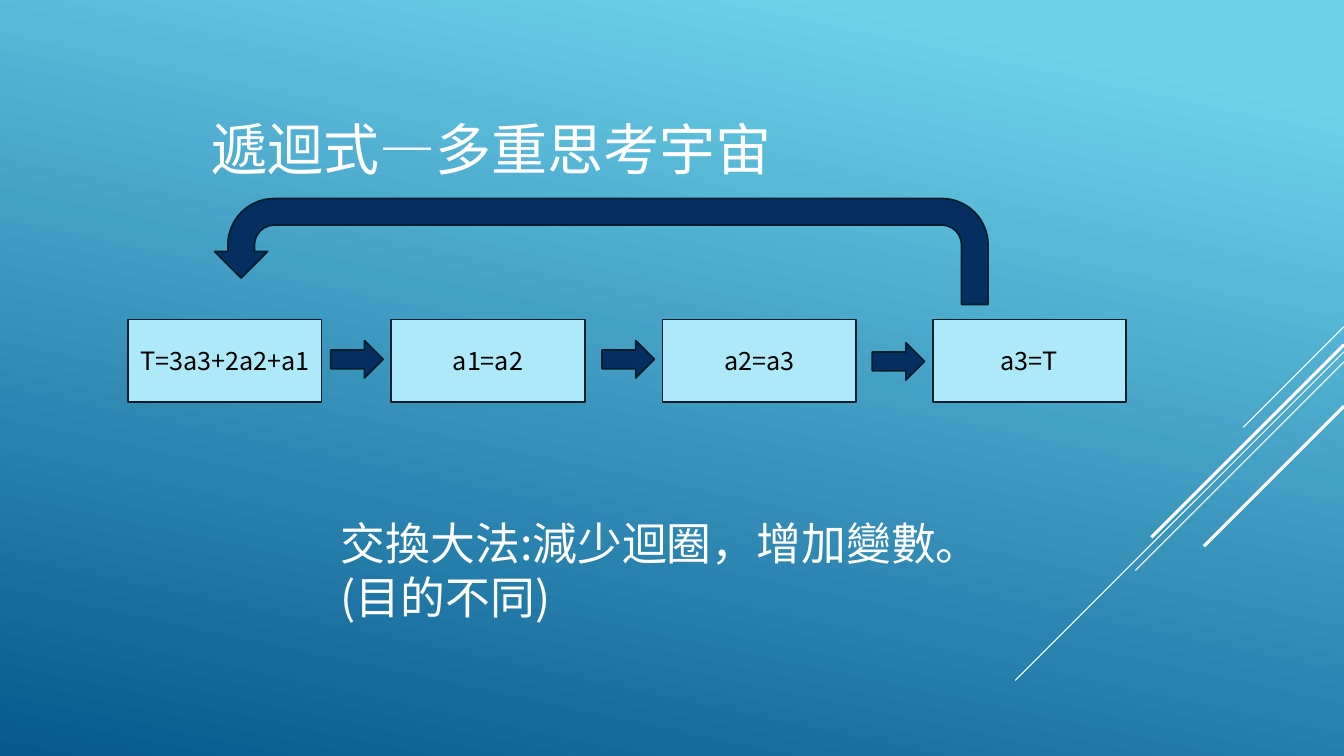
from lxml.etree import SubElement
from pptx import Presentation
from pptx.dml.color import RGBColor
from pptx.enum.shapes import MSO_CONNECTOR, MSO_SHAPE
from pptx.enum.text import MSO_ANCHOR, MSO_AUTO_SIZE, PP_ALIGN
from pptx.oxml.ns import qn
from pptx.util import Inches, Pt

FONT = "Noto Sans CJK SC"


def style_text(paragraph, size, color, align=PP_ALIGN.LEFT):
    paragraph.alignment = align
    font = paragraph.font
    font.size = Pt(size)
    font.color.rgb = RGBColor.from_string(color)
    font.name = FONT
    SubElement(paragraph._p.pPr.find(qn("a:defRPr")), qn("a:ea"), typeface=FONT)


def add_block(kind, left, top, width, height, fill):
    block = slide.shapes.add_shape(kind, Inches(left), Inches(top), Inches(width), Inches(height))
    block.shadow.inherit = False
    block.fill.solid()
    block.fill.fore_color.rgb = RGBColor.from_string(fill)
    block.line.color.rgb = RGBColor.from_string("021E2B")
    block.line.width = Pt(1.25)
    return block


deck = Presentation()
deck.slide_width, deck.slide_height = Inches(13.33), Inches(7.5)
slide = deck.slides.add_slide(deck.slide_layouts[5])

backdrop = slide.background.fill
backdrop.gradient()
backdrop.gradient_angle = 258
for stop, (position, color) in zip(backdrop.gradient_stops, [(0.1, "6ED2EB"), (1, "06588E")]):
    stop.position = position
    stop.color.rgb = RGBColor.from_string(color)

for start_y, run, weight in [(3.24, 1, 0.75), (3.49, 3.26, 0.75), (3.59, 2.07, 0.75),
                             (3.42, 1.91, 2.25), (4.03, 1.39, 2.25)]:
    streak = slide.shapes.add_connector(
        MSO_CONNECTOR.STRAIGHT, Inches(13.33), Inches(start_y),
        Inches(13.33 - run), Inches(start_y + run))
    streak.line.color.rgb = RGBColor.from_string("FFFFFF")
    streak.line.width = Pt(weight)
    SubElement(streak._element.spPr, qn("a:effectLst"))

title = slide.shapes.title
title.left, title.top, title.width, title.height = Inches(2), Inches(0.84), Inches(7.86), Inches(1.25)
title.text_frame.vertical_anchor = MSO_ANCHOR.MIDDLE
heading = title.text_frame.paragraphs[0]
heading.add_run().text = "遞迴式—多重"
heading_end = heading.add_run()
heading_end.text = "思考宇宙"
style_text(heading, 40, "FFFFFF")
heading_end.font.name = "Calibri"

steps = [("T=3a3+2a2+a1", 1.27), ("a1=a2", 3.88), ("a2=a3", 6.57), ("a3=T", 9.25)]
for formula, left in steps:
    step = add_block(MSO_SHAPE.RECTANGLE, left, 3.17, 1.92, 0.82, "ADE9F8")
    step.text_frame.text = formula
    step.text_frame.word_wrap = True
    step.text_frame.vertical_anchor = MSO_ANCHOR.MIDDLE
    style_text(step.text_frame.paragraphs[0], 18, "000000", PP_ALIGN.CENTER)

for (formula, next_left), top in zip(steps[1:], [3.38, 3.38, 3.4]):
    add_block(MSO_SHAPE.RIGHT_ARROW, next_left - 0.6, top, 0.52, 0.37, "052F61")

loop_back = add_block(MSO_SHAPE.U_TURN_ARROW, 2.13, 1.97, 7.67, 1.05, "052F61")
loop_back._element.spPr.find(qn("a:xfrm")).set("flipH", "1")

summary = slide.shapes.add_textbox(Inches(3.28), Inches(5.07), Inches(8.2), Inches(1.18)).text_frame
summary.word_wrap = True
summary.auto_size = MSO_AUTO_SIZE.SHAPE_TO_FIT_TEXT
summary.text = "交換大法:減少迴圈，增加變數。\n(目的不同)"
for sentence in summary.paragraphs:
    style_text(sentence, 32, "FFFFFF")

deck.save("out.pptx")
